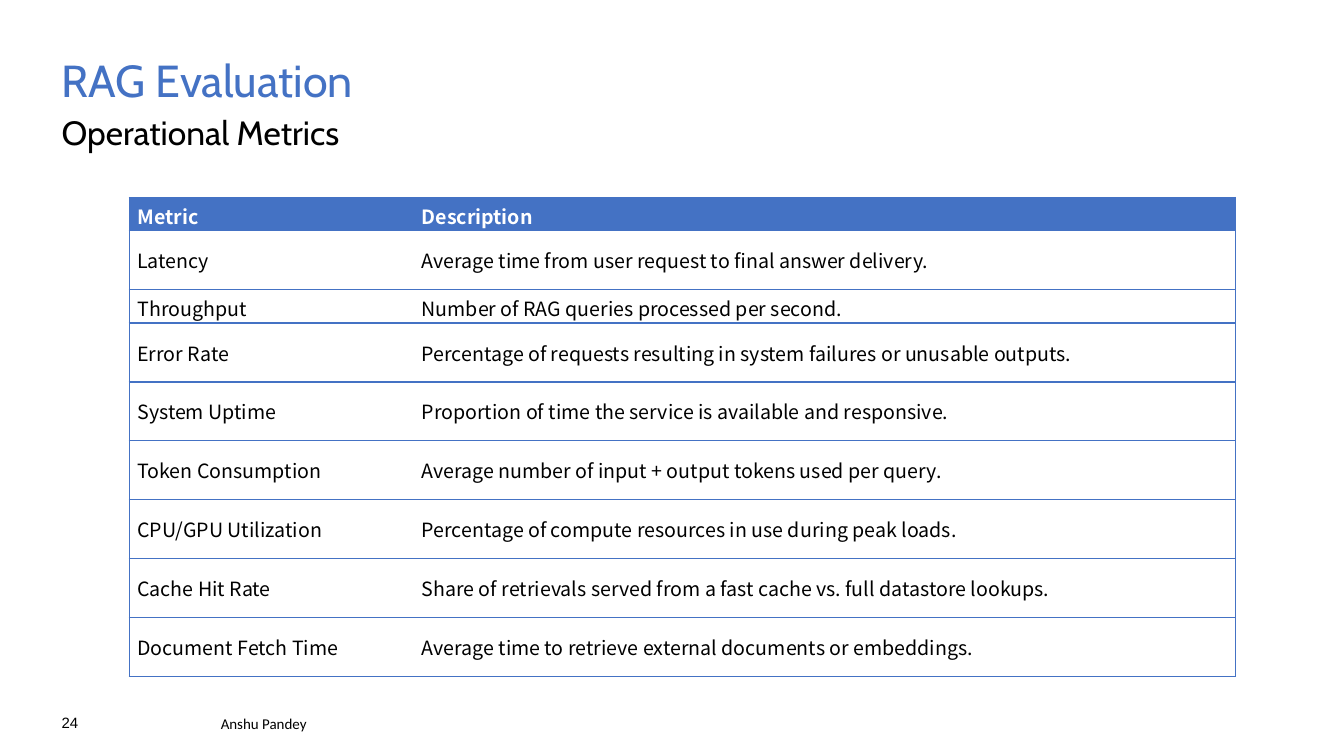
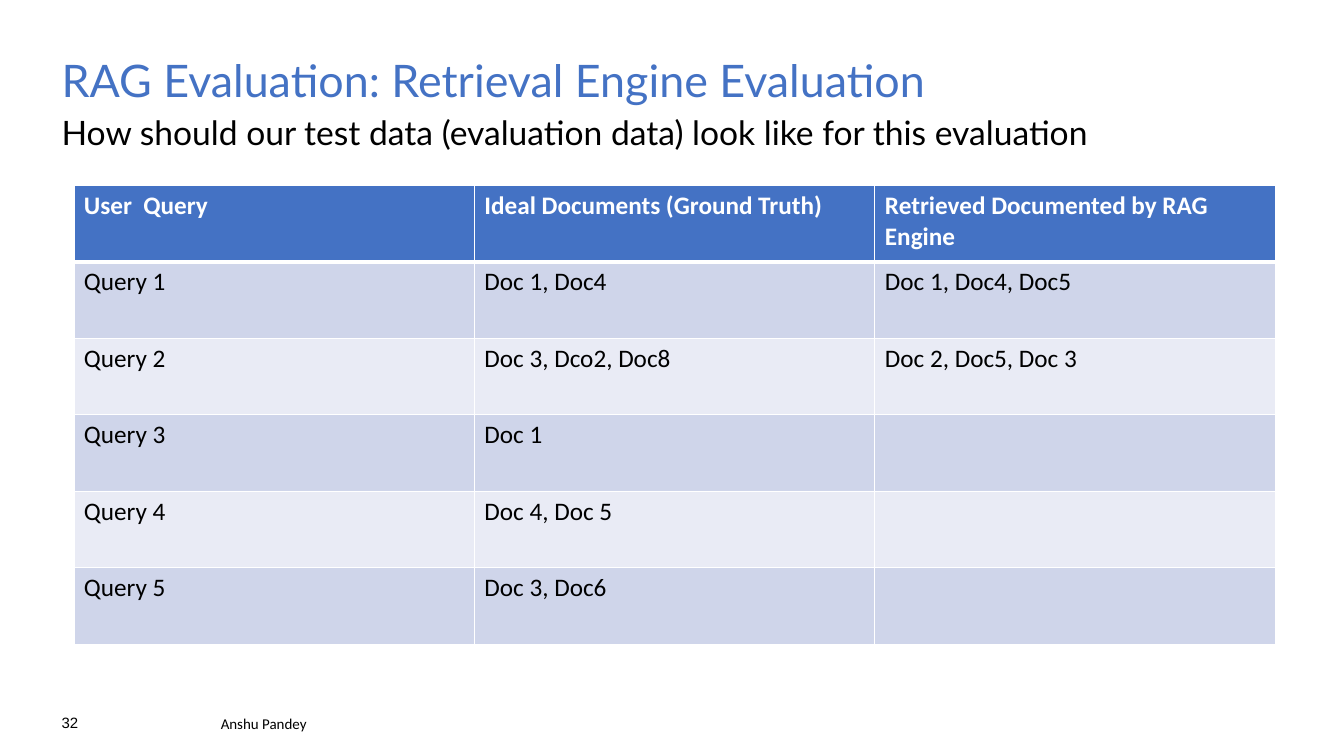
import pptx
import pptx.dml.color
import pptx.enum.text
import pptx.oxml.ns
import pptx.util
from lxml import etree

SLIDE_WIDTH = pptx.util.Inches(13.33)
SLIDE_HEIGHT = pptx.util.Inches(7.5)
MARGIN = 4.58
BLUE, WHITE, BLACK = "4472C4", "FFFFFF", "000000"
BANDS = ("CFD5EA", "E9EBF5")
TOP = pptx.enum.text.MSO_ANCHOR.TOP
MIDDLE = pptx.enum.text.MSO_ANCHOR.MIDDLE
BOTTOM = pptx.enum.text.MSO_ANCHOR.BOTTOM

METRICS = [
    ("Metric", "Description"),
    ("Latency", "Average time from user request to final answer delivery."),
    ("Throughput", "Number of RAG queries processed per second."),
    ("Error Rate", "Percentage of requests resulting in system failures or unusable outputs."),
    ("System Uptime", "Proportion of time the service is available and responsive."),
    ("Token Consumption", "Average number of input + output tokens used per query."),
    ("CPU/GPU Utilization", "Percentage of compute resources in use during peak loads."),
    ("Cache Hit Rate", "Share of retrievals served from a fast cache vs. full datastore lookups."),
    ("Document Fetch Time", "Average time to retrieve external documents or embeddings."),
]
QUERIES = [
    ("User  Query", "Ideal Documents (Ground Truth)", "Retrieved Documented by RAG Engine"),
    ("Query 1", "Doc 1, Doc4", "Doc 1, Doc4, Doc5"),
    ("Query 2", "Doc 3, Dco2, Doc8", "Doc 2, Doc5, Doc 3"),
    ("Query 3", "Doc 1", ""),
    ("Query 4", "Doc 4, Doc 5", ""),
    ("Query 5", "Doc 3, Doc6", ""),
]


def across(percent):
    """Return a share of the slide width."""
    return round(SLIDE_WIDTH * percent / 100)


def down(percent):
    """Return a share of the slide height."""
    return round(SLIDE_HEIGHT * percent / 100)


def color(hex_code):
    """Turn a hex string into a colour."""
    return pptx.dml.color.RGBColor.from_string(hex_code)


def write_text(frame, text, font="Calibri", size=18, ink=BLACK, bold=False, spacing=None):
    """Write one formatted paragraph into a text frame."""
    paragraph = frame.paragraphs[0]
    paragraph.line_spacing = spacing
    run = paragraph.add_run()
    run.text = text
    run.font.name = font
    run.font.size = pptx.util.Pt(size)
    run.font.bold = bold
    run.font.color.rgb = color(ink)


def add_label(slide, text, left, top, width, height, anchor=TOP, wrap=True, **style):
    """Add a text box without insets, placed in percent of the slide."""
    frame = slide.shapes.add_textbox(
        across(left), down(top), across(width), down(height)).text_frame
    frame.margin_left = frame.margin_right = frame.margin_top = frame.margin_bottom = 0
    frame.vertical_anchor = anchor
    frame.word_wrap = wrap
    write_text(frame, text, **style)


def set_border(cell, edge, ink, width):
    """Draw one cell edge, or hide it when the width is zero."""
    properties = cell._tc.get_or_add_tcPr()
    line = etree.SubElement(properties, pptx.oxml.ns.qn(f"a:ln{edge}"),
                            w=str(pptx.util.Pt(width)))
    if width:
        fill = etree.SubElement(line, pptx.oxml.ns.qn("a:solidFill"))
        etree.SubElement(fill, pptx.oxml.ns.qn("a:srgbClr"), val=ink)
    else:
        etree.SubElement(line, pptx.oxml.ns.qn("a:noFill"))


def add_grid(slide, content, left, top, columns, rows, bands, border, edge_width,
             font="Calibri", size=18, anchor=TOP, inset=0.05):
    """Add a table with a blue header, banded rows and ruled edges."""
    table = slide.shapes.add_table(
        len(rows), len(columns), across(left), down(top),
        across(sum(columns)), down(sum(rows))).table
    table.first_row = True
    table.horz_banding = False
    for column, width in zip(table.columns, columns):
        column.width = across(width)
    for index, (row, height, texts) in enumerate(zip(table.rows, rows, content)):
        row.height = down(height)
        header = index == 0
        for position, (cell, text) in enumerate(zip(row.cells, texts)):
            for edge in "LRTB":
                set_border(cell, edge, border,
                           edge_width(edge, index, position, len(columns)))
            cell.fill.solid()
            cell.fill.fore_color.rgb = color(BLUE if header else bands[(index - 1) % len(bands)])
            cell.vertical_anchor = anchor
            cell.margin_left = cell.margin_right = pptx.util.Inches(2 * inset)
            cell.margin_top = cell.margin_bottom = pptx.util.Inches(inset)
            if text:
                write_text(cell.text_frame, text, font=font, size=size,
                           ink=WHITE if header else BLACK, bold=header)


def outer_and_row_rules(edge, row, column, column_count):
    """Rule every row, and the sides of the table only."""
    inner = (edge == "L" and column > 0) or (edge == "R" and column < column_count - 1)
    return 0 if inner else 1


def all_rules(edge, row, column, column_count):
    """Rule every edge, with a heavy line under the header."""
    under_header = (edge == "B" and row == 0) or (edge == "T" and row == 1)
    return 3 if under_header else 1


def add_page(deck, number, title, subtitle, font):
    """Add a blank slide with its headings and footer."""
    slide = deck.slides.add_slide(deck.slide_layouts[6])
    add_label(slide, number, MARGIN, 94.4, 1.35, 2.4,
              anchor=BOTTOM, wrap=False, font="Arial", size=10.7)
    add_label(slide, title, MARGIN, 7.73, 90.9, 6.67,
              font=font, size=32, ink=BLUE, spacing=0.9)
    add_label(slide, subtitle, MARGIN, 14.8, 90.9, 6.67, font=font, size=24)
    add_label(slide, "Anshu Pandey", 16.43, 94.53, 17.33, 2.4, anchor=BOTTOM, size=10.7)
    return slide


def main():
    """Build and save the two slides."""
    deck = pptx.Presentation()
    deck.slide_width, deck.slide_height = SLIDE_WIDTH, SLIDE_HEIGHT

    operations = add_page(deck, "24", "RAG Evaluation", "Operational Metrics", "Cabin")
    short, tall = 4.4, 7.8
    add_grid(operations, METRICS, 9.62, 26.13, (21.15, 61.13),
             (short, tall, short) + (tall,) * 6, (WHITE,), BLUE, outer_and_row_rules,
             font="Noto Sans CJK TC", size=14, anchor=MIDDLE, inset=0.04)

    retrieval = add_page(
        deck, "32", "RAG Evaluation: Retrieval Engine Evaluation",
        "How should our test data (evaluation data) look like for this evaluation", "Lato")
    add_grid(retrieval, QUERIES, 5.5, 24.53, (29.8,) * 3, (10.12,) * len(QUERIES),
             BANDS, WHITE, all_rules)

    deck.save("out.pptx")


if __name__ == "__main__":
    main()
